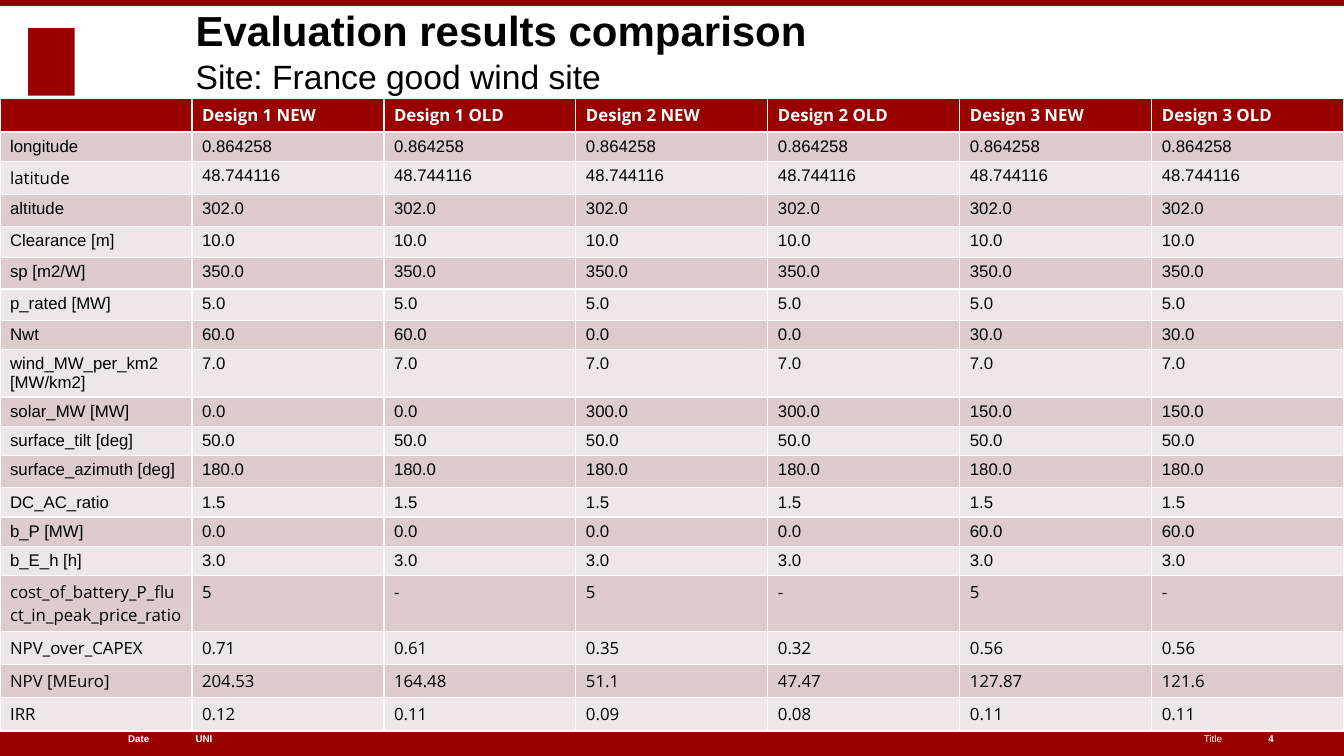
from dataclasses import dataclass
from typing import NamedTuple

from pptx import Presentation
from pptx.dml.color import RGBColor
from pptx.enum.shapes import MSO_SHAPE
from pptx.enum.text import MSO_ANCHOR, PP_ALIGN
from pptx.util import Inches, Pt

RECTANGLE = MSO_SHAPE.RECTANGLE
MIDDLE, BOTTOM = MSO_ANCHOR.MIDDLE, MSO_ANCHOR.BOTTOM
LEFT, RIGHT = PP_ALIGN.LEFT, PP_ALIGN.RIGHT


@dataclass(frozen=True)
class Theme:
    red: str = "990000"
    white: str = "FFFFFF"
    black: str = "000000"
    bands: tuple[str, str] = ("DECCCC", "EFE7E7")
    font: str = "Arial"
    table_font: str = "Open Sans"
    title_size: int = 30
    subtitle_size: int = 24
    table_size: int = 12
    footer_size: int = 7


THEME = Theme()


class Box(NamedTuple):
    left: float
    top: float
    width: float
    height: float

    def lengths(self) -> list[int]:
        return [Inches(value) for value in self]


class Run(NamedTuple):
    text: str
    size: int
    color: str
    bold: bool = False
    font: str = THEME.font


class Label(NamedTuple):
    box: Box
    runs: list[Run]
    anchor: MSO_ANCHOR = MIDDLE
    alignment: PP_ALIGN = LEFT


class Row(NamedTuple):
    name: str
    values: tuple[str, ...]
    height: float
    name_font: str = THEME.font
    value_font: str = THEME.font


def same(value: str) -> tuple[str, ...]:
    """One value for all six design columns."""
    return (value,) * 6


def by_design(*values: str) -> tuple[str, ...]:
    """One value per design, shared by its NEW and OLD columns."""
    return tuple(value for value in values for _ in ("NEW", "OLD"))


def result_row(name: str, values: str, height: float = 0.33) -> Row:
    return Row(name, tuple(values.split()), height, THEME.table_font, THEME.table_font)


def add_run(paragraph, run: Run) -> None:
    text_run = paragraph.add_run()
    text_run.text = run.text
    formats = {"size": Pt(run.size), "bold": run.bold, "name": run.font}
    for name, value in formats.items():
        setattr(text_run.font, name, value)
    text_run.font.color.rgb = RGBColor.from_string(run.color)


def add_block(slide, box: Box) -> None:
    shape = slide.shapes.add_shape(RECTANGLE, *box.lengths())
    shape.shadow.inherit = False
    shape.fill.solid()
    shape.fill.fore_color.rgb = RGBColor.from_string(THEME.red)
    shape.line.fill.background()


def add_label(slide, label: Label) -> None:
    frame = slide.shapes.add_textbox(*label.box.lengths()).text_frame
    formats = {"word_wrap": True, "vertical_anchor": label.anchor, "margin_left": 0,
               "margin_right": 0, "margin_top": 0, "margin_bottom": 0}
    for name, value in formats.items():
        setattr(frame, name, value)
    paragraph = frame.paragraphs[0]
    paragraph.alignment = label.alignment
    for index, run in enumerate(label.runs):
        if index:
            paragraph.add_line_break()
        add_run(paragraph, run)


def fill_cell(cell, run: Run, fill: str) -> None:
    cell.fill.solid()
    cell.fill.fore_color.rgb = RGBColor.from_string(fill)
    paragraph = cell.text_frame.paragraphs[0]
    if run.text:
        add_run(paragraph, run)
    else:
        paragraph.font.size = Pt(run.size)


def add_results_table(slide, left: float, top: float, width: float, rows: list[Row]) -> None:
    """The white grid lines come from the default table style."""
    column_count = len(rows[0].values) + 1
    box = Box(left, top, width, sum(row.height for row in rows))
    table = slide.shapes.add_table(len(rows), column_count, *box.lengths()).table
    for column in table.columns:
        column.width = Inches(width / column_count)
    for row_index, row in enumerate(rows):
        table.rows[row_index].height = Inches(row.height)
        header = row_index == 0
        fill = THEME.red if header else THEME.bands[(row_index - 1) % 2]
        color = THEME.white if header else THEME.black
        for column_index, text in enumerate((row.name, *row.values)):
            font = row.value_font if column_index else row.name_font
            run = Run(text, THEME.table_size, color, header, font)
            fill_cell(table.cell(row_index, column_index), run, fill)


SLIDE_WIDTH, SLIDE_HEIGHT = 13.33, 7.5
FOOTER_TOP, FOOTER_HEIGHT = 7.15, 0.35

BLOCKS = [
    Box(0.28, 0.28, 0.46, 0.67),  # emblem
    Box(0, FOOTER_TOP, SLIDE_WIDTH, FOOTER_HEIGHT),
    Box(0, 0, SLIDE_WIDTH, 0.06),
]


def footer(text: str, left: float, width: float, alignment=LEFT, bold=True) -> Label:
    run = Run(text, THEME.footer_size, THEME.white, bold)
    return Label(Box(left, FOOTER_TOP, width, FOOTER_HEIGHT), [run], MIDDLE, alignment)


LABELS = [
    footer("UNI", 1.94, 3.72),
    footer("Date", 0.27, 1.21, RIGHT),
    footer("Title", 6.11, 6.01, RIGHT, bold=False),
    Label(Box(1.94, -0.11, 10.18, 1.06), [
        Run("Evaluation results comparison", THEME.title_size, THEME.black, True),
        Run("Site: France good wind site", THEME.subtitle_size, THEME.black),
    ], BOTTOM),
    footer("4", 12.58, 0.47),
]

DESIGNS = tuple(f"Design {number} {version}" for number in (1, 2, 3)
                for version in ("NEW", "OLD"))
ROWS = [
    Row("", DESIGNS, 0.33, THEME.table_font, THEME.table_font),
    Row("longitude", same("0.864258"), 0.29),
    Row("latitude", same("48.744116"), 0.32, name_font=THEME.table_font),
    Row("altitude", same("302.0"), 0.32),
    Row("Clearance [m]", same("10.0"), 0.31),
    Row("sp [m2/W]", same("350.0"), 0.31),
    Row("p_rated [MW]", same("5.0"), 0.31),
    Row("Nwt", by_design("60.0", "0.0", "30.0"), 0.29),
    Row("wind_MW_per_km2 [MW/km2]", same("7.0"), 0.47),
    Row("solar_MW [MW]", by_design("0.0", "300.0", "150.0"), 0.29),
    Row("surface_tilt [deg]", same("50.0"), 0.29),
    Row("surface_azimuth [deg]", same("180.0"), 0.32),
    Row("DC_AC_ratio", same("1.5"), 0.29),
    Row("b_P [MW]", by_design("0.0", "0.0", "60.0"), 0.29),
    Row("b_E_h [h]", same("3.0"), 0.29),
    result_row("cost_of_battery_P_fluct_in_peak_price_ratio", "5 - 5 - 5 -", 0.55),
    result_row("NPV_over_CAPEX", "0.71 0.61 0.35 0.32 0.56 0.56"),
    result_row("NPV [MEuro]", "204.53 164.48 51.1 47.47 127.87 121.6"),
    result_row("IRR", "0.12 0.11 0.09 0.08 0.11 0.11"),
]

presentation = Presentation()
presentation.slide_width = Inches(SLIDE_WIDTH)
presentation.slide_height = Inches(SLIDE_HEIGHT)
slide = presentation.slides.add_slide(presentation.slide_layouts[6])

# Emblem and bars
for block in BLOCKS:
    add_block(slide, block)

# Results table
add_results_table(slide, 0, 0.98, SLIDE_WIDTH, ROWS)

# Title and footer
for label in LABELS:
    add_label(slide, label)

presentation.save("out.pptx")
